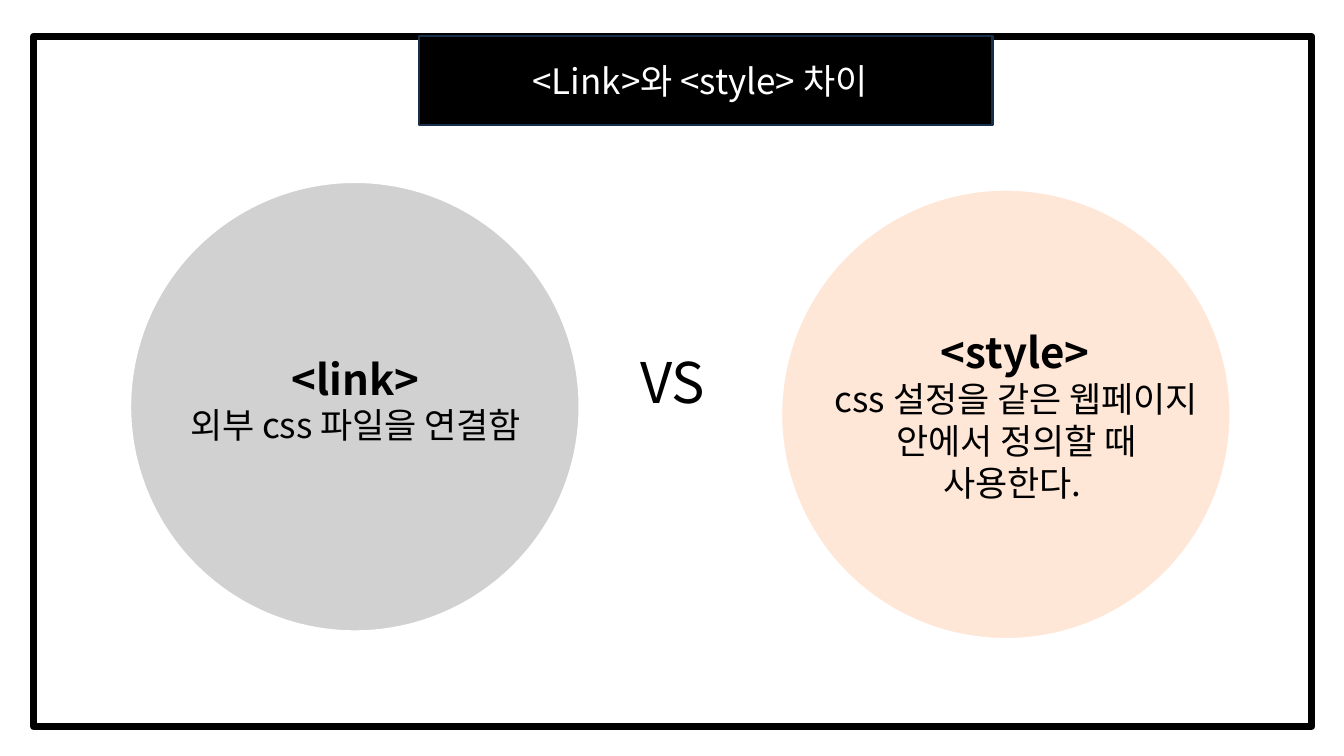
"""Build a slide that compares the link and style tags."""
from lxml import etree
from pptx import Presentation, util as u
from pptx.dml.color import RGBColor
from pptx.enum import shapes, text
from pptx.oxml.ns import qn

FONT = "Noto Sans CJK KR"
BLACK = RGBColor(0x00, 0x00, 0x00)
WHITE = RGBColor(0xFF, 0xFF, 0xFF)
NAVY = RGBColor(0x18, 0x2F, 0x4B)
GREY = RGBColor(0xD1, 0xD1, 0xD1)
PEACH = RGBColor(0xFF, 0xE7, 0xD8)

RECTANGLE = shapes.MSO_SHAPE.RECTANGLE
OVAL = shapes.MSO_SHAPE.OVAL
HEADING, BODY, VERSUS = 30, 25, 40
DIAMETER = 321

FRAME = (24, 26, 913, 493)
BANNER = (299, 26, 410, 63)
TITLE_AREA = (350, 39, 300, 37)
TITLE = [("<Link>와 <style> 차이", BODY, False)]
MIDDLE = [("VS", VERSUS, False)]
TAGS = [
    (GREY, (93, 130), (101, 249, 306, 73),
     [("<link>", HEADING, True),
      ("외부 css 파일을 연결함", BODY, False)]),
    (PEACH, (558, 135.5), (573, 230, 306, 133),
     [("<style>\t", HEADING, True),
      ("css 설정을 같은 웹페이지 안에서 정의할 때", BODY, False),
      ("사용한다. ", BODY, False)]),
]


def points(area):
    return [u.Pt(value) for value in area]


def write(box, lines, color):
    frame = box.text_frame
    frame.word_wrap = True
    for index, (words, size, bold) in enumerate(lines):
        para = frame.add_paragraph() if index else frame.paragraphs[0]
        para.alignment = text.PP_ALIGN.CENTER
        span = para.add_run()
        span.text = words
        font = span.font
        font.name, font.size, font.bold = FONT, u.Pt(size), bold
        font.color.rgb = color
        east_asian = etree.Element(qn("a:ea"), typeface=FONT)
        span._r.rPr.find(qn("a:latin")).addnext(east_asian)


def add_shape(parent, kind, area, fill, line, width):
    shape = parent.add_shape(kind, *points(area))
    shape.shadow.inherit = False
    if fill is None:
        shape.fill.background()
    else:
        shape.fill.solid()
        shape.fill.fore_color.rgb = fill
    shape.line.color.rgb = line
    shape.line.width = u.Pt(width)
    return shape


def add_text(parent, area, lines, color):
    box = parent.add_textbox(*points(area))
    write(box, lines, color)
    box.text_frame.auto_size = text.MSO_AUTO_SIZE.SHAPE_TO_FIT_TEXT


def main():
    deck = Presentation()
    deck.slide_width, deck.slide_height = u.Pt(960), u.Pt(540)
    page = deck.slides.add_slide(deck.slide_layouts[6])

    border = add_shape(page.shapes, RECTANGLE, FRAME, None, BLACK, 5)
    etree.SubElement(border.line._ln, qn("a:round"))
    border.text_frame.vertical_anchor = text.MSO_ANCHOR.MIDDLE
    write(border, MIDDLE, BLACK)

    header = page.shapes.add_group_shape()
    add_shape(header.shapes, RECTANGLE, BANNER, BLACK, NAVY, 1.5)
    add_text(header.shapes, TITLE_AREA, TITLE, WHITE)

    for fill, corner, area, lines in TAGS:
        circle = (*corner, DIAMETER, DIAMETER)
        add_shape(page.shapes, OVAL, circle, fill, WHITE, 1.5)
        add_text(page.shapes, area, lines, BLACK)

    deck.save("out.pptx")


if __name__ == "__main__":
    main()
